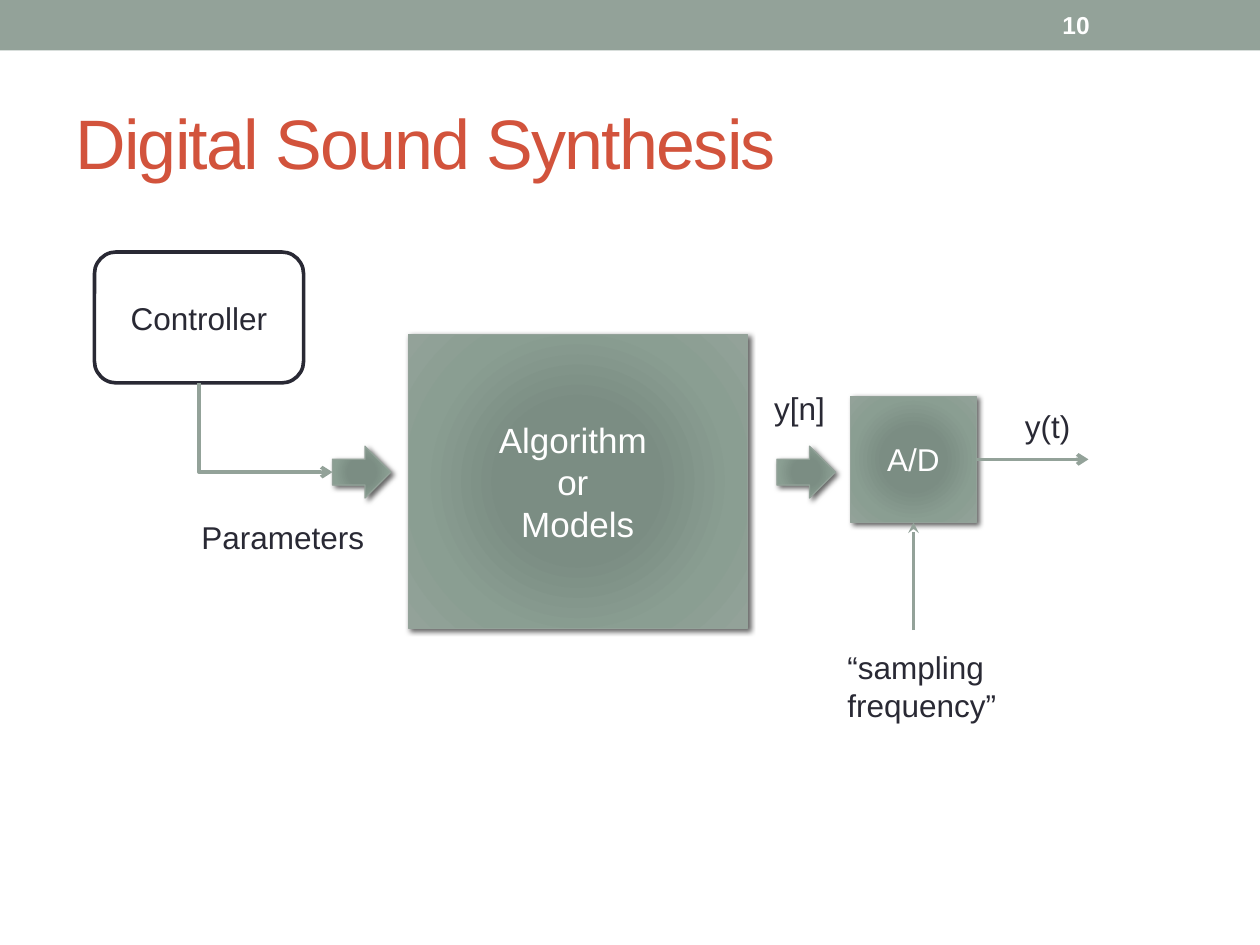
from pptx import Presentation, util as u
from pptx.dml.color import RGBColor
from pptx.enum import shapes, text
from pptx.oxml import parse_xml
from pptx.oxml.ns import nsdecls, qn

Pt = u.Pt
SAGE = RGBColor(0x93, 0xA2, 0x99)
INK = RGBColor(0x29, 0x29, 0x34)
RUST = RGBColor(0xD2, 0x53, 0x3C)
WHITE = RGBColor(0xFF, 0xFF, 0xFF)
SAGE_STOPS = [(0, "7B8E82"), (34, "7B8D83"), (70, "8A9E92"), (100, "93A299")]

SHAPE = shapes.MSO_SHAPE
MIDDLE = text.MSO_ANCHOR.MIDDLE
CENTER = text.PP_ALIGN.CENTER


class Diagram:
    font_name = "Arial"
    connector_width = 2.08

    def __init__(self, slide):
        self.slide = slide

    def set_text(self, frame, lines, color, align=None, spacing=None, **font):
        """Fill a text frame, one paragraph for each line."""
        frame.text = "\n".join(lines)
        formats = {"name": self.font_name, "size": Pt(18), **font}
        for paragraph in frame.paragraphs:
            paragraph.alignment = align
            for run in paragraph.runs:
                for key, value in formats.items():
                    setattr(run.font, key, value)
                run.font.color.rgb = color
                if spacing is not None:
                    run.font._element.set("spc", str(spacing * 100))

    def block(self, kind, box, fill, line=None, width=0.75):
        shape = self.slide.shapes.add_shape(kind, *map(Pt, box))
        shape.shadow.inherit = False
        shape.fill.solid()
        shape.fill.fore_color.rgb = fill
        if line is None:
            shape.line.fill.background()
        else:
            shape.line.color.rgb = line
            shape.line.width = Pt(width)
        shape.text_frame.vertical_anchor = MIDDLE
        return shape

    def raised(self, kind, box):
        """A block with a radial sage gradient and a soft shadow."""
        shape = self.block(kind, box, SAGE, SAGE)
        props = shape._element.spPr
        stops = "".join(
            f'<a:gs pos="{pos * 1000}"><a:srgbClr val="{rgb}"/></a:gs>'
            for pos, rgb in SAGE_STOPS)
        gradient = parse_xml(
            f'<a:gradFill {nsdecls("a")} rotWithShape="1"><a:gsLst>{stops}</a:gsLst>'
            '<a:path path="circle"><a:fillToRect l="100000" t="100000" '
            'r="100000" b="100000"/></a:path></a:gradFill>')
        props.replace(props.find(qn("a:solidFill")), gradient)
        props.find(qn("a:effectLst")).append(parse_xml(
            f'<a:outerShdw {nsdecls("a")} blurRad="{Pt(3)}" dist="{Pt(2)}" '
            'dir="2700000" rotWithShape="0"><a:srgbClr val="000000">'
            '<a:alpha val="60000"/></a:srgbClr></a:outerShdw>'))
        return shape

    def heading(self, box, line, color, **style):
        frame = self.slide.shapes.add_textbox(*map(Pt, box)).text_frame
        frame.word_wrap = True
        frame.vertical_anchor = MIDDLE
        self.set_text(frame, [line], color, **style)

    def label(self, box, line):
        frame = self.slide.shapes.add_textbox(*map(Pt, box)).text_frame
        frame.word_wrap = False
        frame.auto_size = text.MSO_AUTO_SIZE.SHAPE_TO_FIT_TEXT
        self.set_text(frame, [line], INK)

    def arrow(self, start, end, head="arrow", kind=shapes.MSO_CONNECTOR.STRAIGHT):
        connector = self.slide.shapes.add_connector(kind, *map(Pt, start + end))
        connector.line.color.rgb = SAGE
        connector.line.width = Pt(self.connector_width)
        connector.line._get_or_add_ln().append(
            parse_xml(f'<a:tailEnd {nsdecls("a")} type="{head}"/>'))
        connector._element.spPr.append(parse_xml(f'<a:effectLst {nsdecls("a")}/>'))
        return connector

    def down_then_right(self, start, end):
        """An elbow with one corner: a quarter turn of bentConnector2."""
        elbow = self.arrow(start, end, kind=shapes.MSO_CONNECTOR.ELBOW)
        across, down = end[0] - start[0], end[1] - start[1]
        frame = {
            "left": Pt(start[0] + (across - down) / 2),
            "top": Pt(start[1] + (down - across) / 2),
            "width": Pt(down),
            "height": Pt(across),
        }
        for key, value in frame.items():
            setattr(elbow, key, value)
        props = elbow._element.spPr
        props.find(qn("a:prstGeom")).set("prst", "bentConnector2")
        for key, value in {"rot": "16200000", "flipH": "1"}.items():
            props.find(qn("a:xfrm")).set(key, value)


def main():
    deck = Presentation()
    deck.slide_width, deck.slide_height = Pt(720), Pt(540)
    diagram = Diagram(deck.slides.add_slide(deck.slide_layouts[6]))

    # Top band and title
    diagram.block(SHAPE.RECTANGLE, (0, 0, 720, 28.8), SAGE)
    diagram.heading((36, 41.8, 648, 77.8), "Digital Sound Synthesis", RUST,
                    size=Pt(40), spacing=-1)

    # Processing blocks
    algorithm = diagram.raised(SHAPE.RECTANGLE, (233.3, 191, 193.7, 168))
    diagram.set_text(algorithm.text_frame, ["Algorithm ", "or ", "Models"], WHITE,
                     CENTER, size=Pt(20))
    converter = diagram.raised(SHAPE.RECTANGLE, (486, 226.5, 72, 72))
    diagram.set_text(converter.text_frame, ["A/D"], WHITE, CENTER)

    # Block arrows into and out of the algorithm
    for left in (190, 444):
        diagram.raised(SHAPE.RIGHT_ARROW, (left, 255, 33.4, 29.6))

    # Signal labels
    diagram.label((108, 292.5, 108.7, 29), "Parameters")
    diagram.label((435.3, 219, 44.6, 29), "y[n]")
    diagram.label((578.6, 229, 41.8, 29), "y(t)")

    # Converter output and sampling clock
    output = diagram.arrow((558, 262.5), (622, 262.5))
    output.begin_connect(converter, 3)
    clock = diagram.arrow((522, 360), (522, 298.5), head="stealth")
    clock.end_connect(converter, 2)
    diagram.label((477.2, 367, 100, 51), "“sampling\vfrequency”")

    # Controller feeding the parameters
    controller = diagram.block(SHAPE.ROUNDED_RECTANGLE, (54, 144, 119.5, 74.8),
                               WHITE, INK, 2.08)
    diagram.set_text(controller.text_frame, ["Controller"], INK, CENTER)
    diagram.down_then_right((113.75, 218.8), (190, 269.8))

    # Page number
    diagram.heading((600, 1.4, 84, 26), "10", WHITE, size=Pt(14), bold=True)

    deck.save("out.pptx")


if __name__ == "__main__":
    main()
